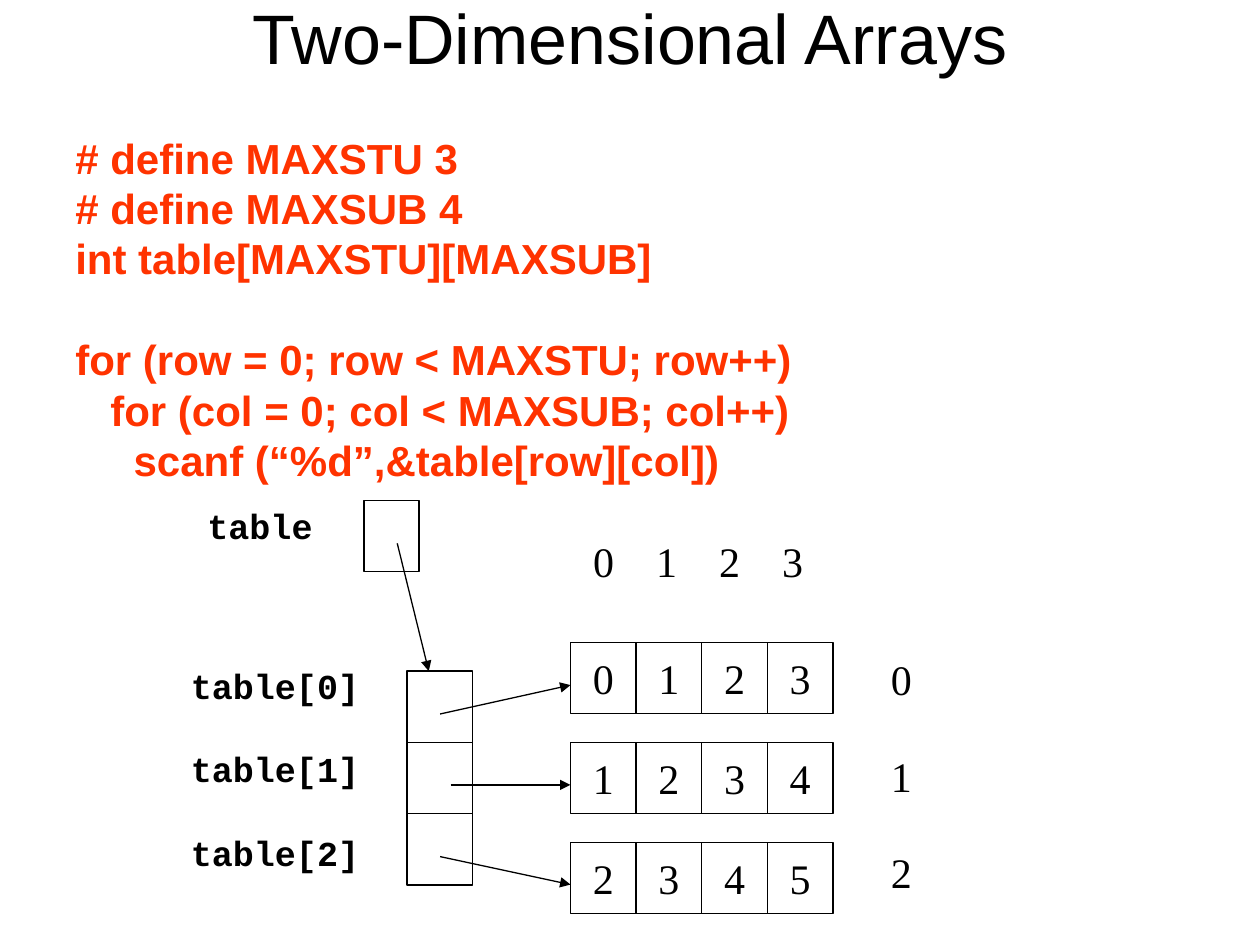
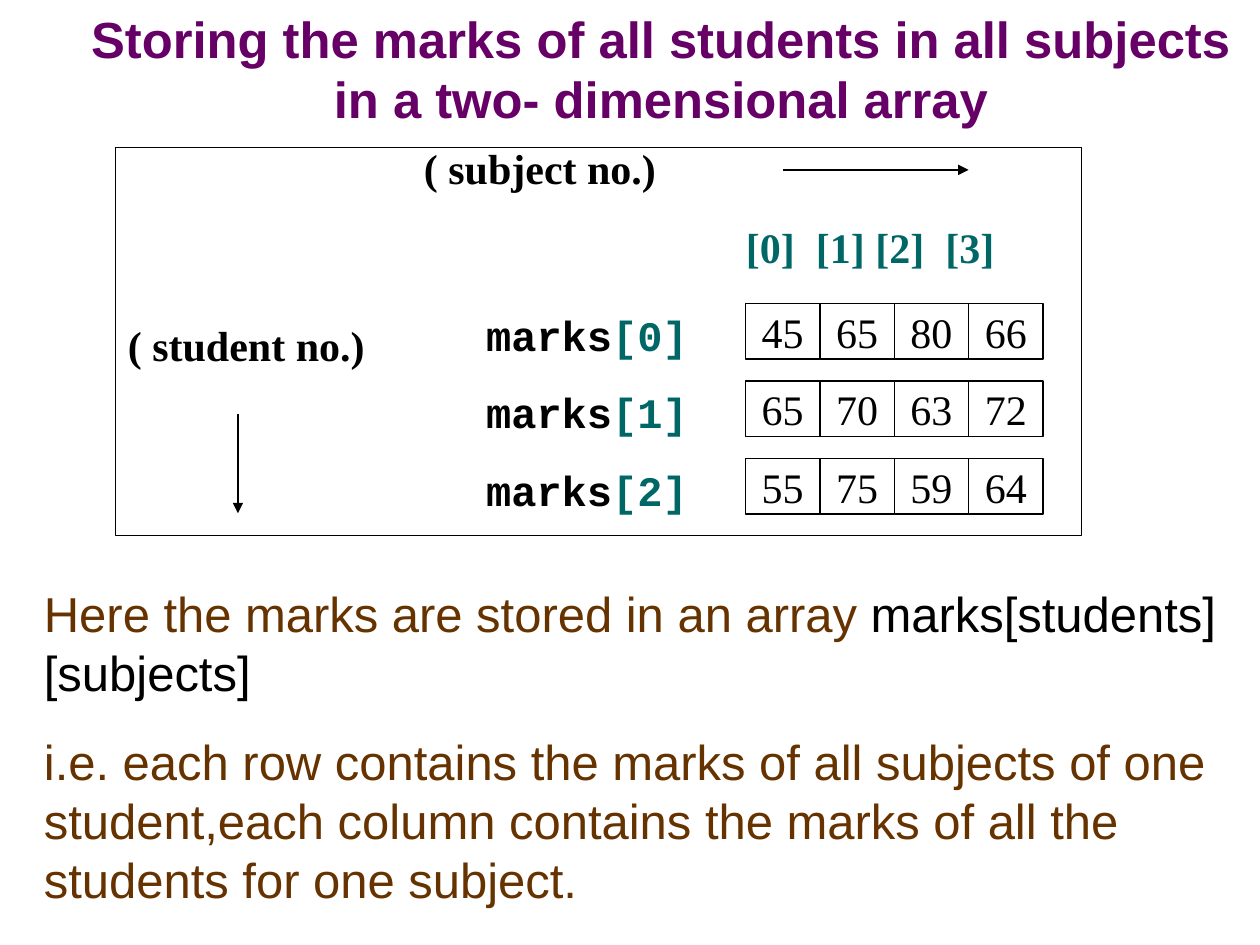
import dataclasses
import pptx
import pptx.dml.color
import pptx.enum.shapes
import pptx.enum.text
import pptx.oxml.ns
import pptx.util
from lxml import etree

Pt = pptx.util.Pt
Align = pptx.enum.text.PP_ALIGN
Anchor = pptx.enum.text.MSO_ANCHOR


@dataclasses.dataclass(frozen=True)
class Theme:
    ink: str = "000000"
    code: str = "FF3300"
    plum: str = "660066"
    brown: str = "663300"
    teal: str = "006666"
    sans: str = "Arial"
    serif: str = "Times New Roman"
    mono: str = "Courier New"
    title: int = 40
    head: int = 29
    body: int = 28
    text: int = 24
    label: int = 20
    rule: float = 0.75
    lead: float = 1.2


THEME = Theme()


def rgb(color):
    return pptx.dml.color.RGBColor.from_string(color)


def style(para, font, size, bold=False, color=THEME.ink, align=Align.LEFT,
          lead=THEME.lead):
    para.font.name = font
    para.font.size = Pt(size)
    para.font.bold = bold
    para.font.color.rgb = rgb(color)
    para.alignment = align
    para.line_spacing = Pt(round(size * lead, 2))


def write(slide, box, lines, font, size, wrap=True, anchor=Anchor.TOP, **look):
    """Add a text box; a line is a string or a list of (text, color) runs."""
    frame = slide.shapes.add_textbox(*map(Pt, box)).text_frame
    frame.word_wrap = wrap
    frame.vertical_anchor = anchor
    for i, line in enumerate(lines):
        para = frame.add_paragraph() if i else frame.paragraphs[0]
        style(para, font, size, **look)
        if isinstance(line, str):
            para.text = line
            continue
        for text, color in line:
            run = para.add_run()
            run.text = text
            run.font.color.rgb = rgb(color)
    return frame.paragraphs


def draw_box(slide, box, text=""):
    shape = slide.shapes.add_shape(
        pptx.enum.shapes.MSO_SHAPE.RECTANGLE, *map(Pt, box))
    shape.shadow.inherit = False
    shape.fill.background()
    shape.line.color.rgb = rgb(THEME.ink)
    shape.line.width = Pt(THEME.rule)
    if text:
        frame = shape.text_frame
        frame.margin_top = frame.margin_bottom = 0
        frame.word_wrap = False
        frame.vertical_anchor = Anchor.MIDDLE
        frame.text = text
        style(frame.paragraphs[0], THEME.serif, THEME.text, align=Align.CENTER)


def draw_grid(slide, left, top, wide, high, pitch, rows):
    for r, row in enumerate(rows):
        for c, value in enumerate(row):
            draw_box(slide, (left + c * wide, top + r * pitch, wide, high),
                     str(value))


def arrow(slide, x1, y1, x2, y2):
    line = slide.shapes.add_connector(
        pptx.enum.shapes.MSO_CONNECTOR.STRAIGHT, *map(Pt, (x1, y1, x2, y2)))
    line.line.color.rgb = rgb(THEME.ink)
    line.line.width = Pt(THEME.rule)
    qn = pptx.oxml.ns.qn
    etree.SubElement(line.line._get_or_add_ln(), qn("a:tailEnd"),
                     type="triangle")
    etree.SubElement(line._element.spPr, qn("a:effectLst"))


def add_title(slide, box, text, size, **look):
    write(slide, box, [text], THEME.sans, size, anchor=Anchor.MIDDLE,
          align=Align.CENTER, **look)


def add_code(slide, box):
    code = [
        ("# define MAXSTU 3", 0),
        ("# define MAXSUB 4", 0),
        ("int table[MAXSTU][MAXSUB]", 0),
        ("for (row = 0; row < MAXSTU; row++)", 0),
        ("for (col = 0; col < MAXSUB; col++)", 20),
        ("scanf (“%d”,&table[row][col])", 33.3),
    ]
    paras = write(slide, box, [text for text, _ in code], THEME.sans,
                  THEME.text, bold=True, color=THEME.code)
    for para, (_, indent) in zip(paras, code):
        para._p.get_or_add_pPr().set("marL", str(Pt(indent)))
    # One line of space before the loops
    paras[3].space_before = Pt(28.8)


def add_memory(slide, left, top):
    wide, high = 37.5, 40.5
    label = dict(font=THEME.mono, size=THEME.label, bold=True, wrap=False)

    # Pointer to the table and its row pointers
    draw_box(slide, (left + 106, top + 1, 31.5, high))
    write(slide, (left + 9.5, top, 74.5, 31.5), ["table"], **label)
    for r in range(3):
        draw_box(slide, (left + 130.5, top + 98.5 + r * 40.75, wide, 40.75))
        write(slide, (left, top + 91 + r * 47.8, 110.4, 31.5),
              [f"table[{r}]"], **label)

    # Rows of values with column and row numbers
    draw_grid(slide, left + 224, top + 82.2, wide, high, 57.1,
              [[r + c for c in range(4)] for r in range(3)])
    for c in range(4):
        write(slide, (left + 225 + c * 36, top + 17.4, 36, 36), [str(c)],
              THEME.serif, THEME.text, wrap=False, align=Align.CENTER)
    paras = write(slide, (left + 400, top + 70.7, 26, 161), list("012"),
                  THEME.serif, THEME.text, wrap=False, align=Align.CENTER,
                  lead=1.8)
    for para in paras[1:]:
        para.space_before = Pt(12)

    # Links from pointers to targets
    for x1, y1, x2, y2 in ((125, 25.5, 143, 98.5), (149.5, 123, 224, 106.5),
                           (155.5, 163.5, 224, 163.5),
                           (149.5, 204.5, 224, 220.5)):
        arrow(slide, left + x1, top + y1, left + x2, top + y2)


def add_marks(slide, box):
    left, top = box[:2]
    bold = dict(font=THEME.serif, size=THEME.text, bold=True)
    marks = [[45, 65, 80, 66], [65, 70, 63, 72], [55, 75, 59, 64]]
    pitch = 44.3

    # Column numbers and grid of marks
    for c, shift in enumerate((0, 40, 74, 114)):
        write(slide, (left + 353.2 + shift, top + 39, 42.4, 36), [f"[{c}]"],
              wrap=False, color=THEME.teal, **bold)
    draw_grid(slide, left + 360, top + 89.2, 42.5, 31.7, pitch, marks)

    # Row names
    for r in range(len(marks)):
        write(slide, (left + 204.7, top + 88.8 + r * pitch, 129.6, 36),
              [[("marks", THEME.ink), (f"[{r}]", THEME.teal)]],
              THEME.mono, THEME.text, wrap=False, bold=True)

    # Axis names and directions
    for x, y, name in ((169.2, -6.4, "( subject no.)"),
                       (0, 95, "( student no.)")):
        write(slide, (left + x, top + y, 191, 36), [name], **bold)
    arrow(slide, left + 70, top + 152, left + 70, top + 209)
    arrow(slide, left + 381.5, top + 12.8, left + 487.5, top + 12.8)
    draw_box(slide, box)


def add_notes(slide, box):
    paras = write(slide, box, [
        [("Here the marks are stored in an array ", THEME.brown),
         ("marks[students][subjects]", THEME.ink)],
        "i.e. each row contains the marks of all subjects of one "
        "student,each column contains the marks of all the students "
        "for one subject.",
    ], THEME.sans, THEME.body, color=THEME.brown)
    paras[1].space_before = Pt(17.5)


def main():
    deck = pptx.Presentation()
    deck.slide_width, deck.slide_height = Pt(720), Pt(540)
    blank = deck.slide_layouts[6]

    # Array layout in memory
    slide = deck.slides.add_slide(blank)
    add_title(slide, (54, -24, 612, 90), "Two-Dimensional Arrays", THEME.title)
    add_code(slide, (36, 72, 648, 208.8))
    add_memory(slide, 102, 285)

    # Marks by student and subject
    slide = deck.slides.add_slide(blank)
    add_title(slide, (36, 12, 684, 54),
              "Storing the marks of all students in all subjects "
              "in a two- dimensional array",
              THEME.head, bold=True, color=THEME.plum)
    add_marks(slide, (66, 84.3, 552, 221.7))
    add_notes(slide, (18, 329.8, 702, 193))

    deck.save("out.pptx")


if __name__ == "__main__":
    main()
